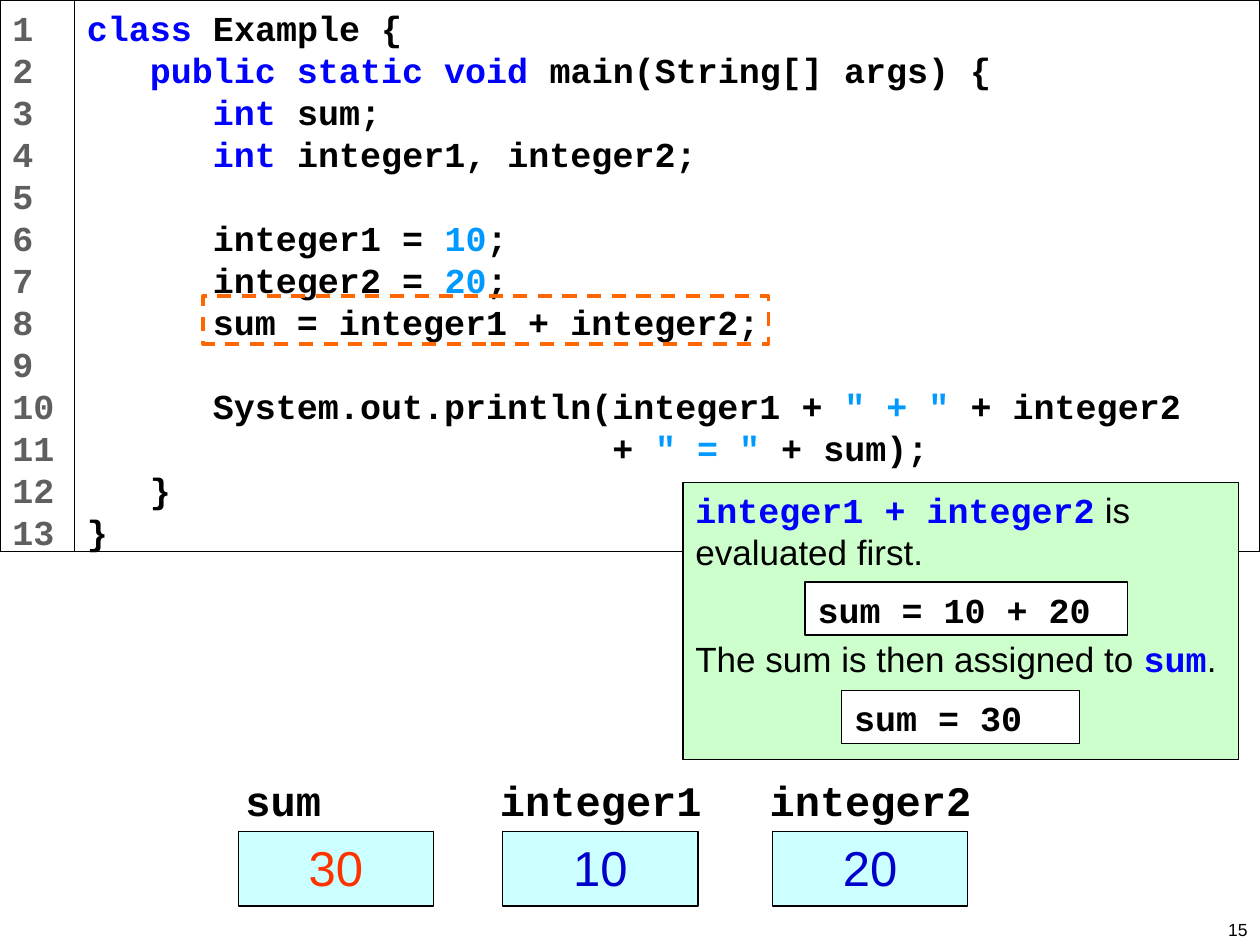
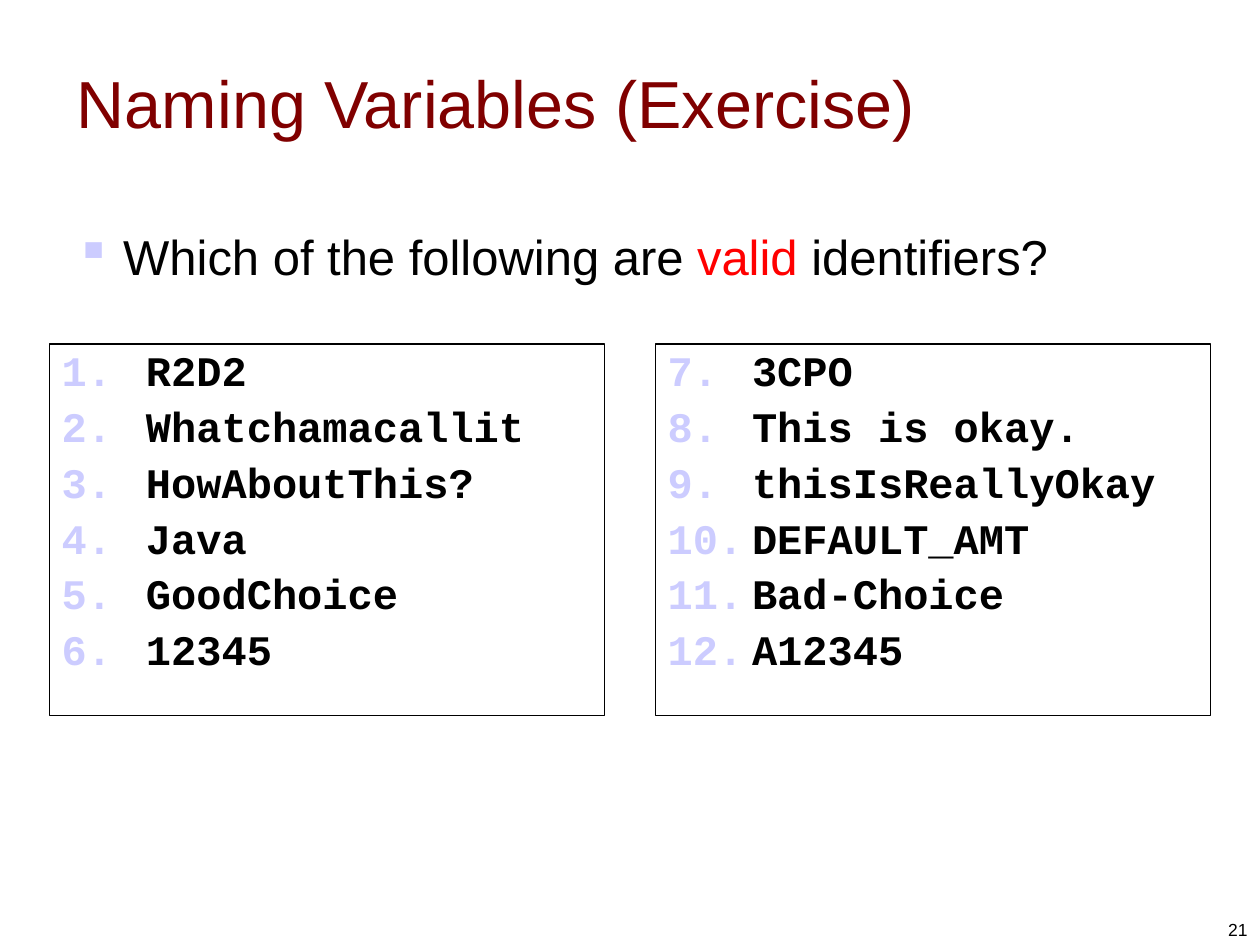
"""Two Java lesson slides: a traced addition and an identifier exercise."""
from collections import namedtuple

from lxml.etree import SubElement
from pptx import Presentation
from pptx.dml.color import RGBColor
from pptx.enum.dml import MSO_LINE
from pptx.enum.shapes import MSO_SHAPE
from pptx.enum.text import MSO_ANCHOR as ANCHOR, PP_ALIGN as ALIGN
from pptx.oxml.ns import qn
from pptx.util import Inches, Pt

BLACK = RGBColor(0, 0, 0)
WHITE = RGBColor(0xFF, 0xFF, 0xFF)
GRAY = RGBColor(0x5F, 0x5F, 0x5F)
BLUE = RGBColor(0, 0, 0xFF)
SKY = RGBColor(0, 0x99, 0xFF)
NAVY = RGBColor(0, 0, 0xCC)
RED = RGBColor(0xFF, 0, 0)
VERMILION = RGBColor(0xFF, 0x33, 0)
ORANGE = RGBColor(0xFF, 0x66, 0)
MAROON = RGBColor(0x80, 0, 0)
LAVENDER = RGBColor(0xCC, 0xCC, 0xFF)
MINT = RGBColor(0xCC, 0xFF, 0xCC)
AQUA = RGBColor(0xCC, 0xFF, 0xFF)

Style = namedtuple("Style", "font size color bold")
CODE = Style("Courier New", 20, BLACK, True)
KEYWORD = CODE._replace(color=BLUE)
LITERAL = CODE._replace(color=SKY)
LINE_NO = CODE._replace(color=GRAY)
NAME = CODE._replace(size=24)
PROSE = Style("Arial", 20, BLACK, False)
QUESTION = PROSE._replace(size=28)
TITLE = PROSE._replace(size=38, color=MAROON)
FOOTER = PROSE._replace(size=10)

PROGRAM = [
    [("class", KEYWORD), (" Example {", CODE)],
    [("   public static void ", KEYWORD), ("main(String[] args) {", CODE)],
    [("      int ", KEYWORD), ("sum;", CODE)],
    [("      int ", KEYWORD), ("integer1, integer2;", CODE)],
    [],
    [("      integer1 = ", CODE), ("10", LITERAL), (";", CODE)],
    [("      integer2 = ", CODE), ("20", LITERAL), (";", CODE)],
    [("      sum = integer1 + integer2;", CODE)],
    [],
    [("      System.out.println(integer1 + ", CODE), ('" + "', LITERAL),
     (" + integer2", CODE)],
    [("                         + ", CODE), ('" = "', LITERAL), (" + sum);", CODE)],
    [("   }", CODE)],
    [("}", CODE)],
]
EXPLANATION = [
    [("integer1 + integer2", KEYWORD), (" is evaluated first.", PROSE)],
    [("The sum is then assigned to ", PROSE), ("sum", KEYWORD), (".", PROSE)],
]
STEPS = [("sum = 10 + 20", (6.39, 4.62, 2.56, 0.42)),
         ("sum = 30", (6.68, 5.48, 1.89, 0.42))]
VARIABLES = [("sum", "30", VERMILION, 1.85, 1.89),
             ("integer1", "10", NAVY, 3.87, 3.99),
             ("integer2", "20", NAVY, 6.01, 6.13)]
EXERCISE_TITLE = "Naming Variables (Exercise)"
EXERCISE = [("Which of the following are ", QUESTION),
            ("valid", QUESTION._replace(color=RED)), (" identifiers?", QUESTION)]
CANDIDATES = ["R2D2", "Whatchamacallit", "HowAboutThis?", "Java", "GoodChoice",
              "12345", "3CPO", "This is okay.", "thisIsReallyOkay",
              "DEFAULT_AMT", "Bad-Choice", "A12345"]
PER_LIST = 6
GUTTER = 0.59
CODE_HEIGHT = 4.38


def write(sp, paras, align=ALIGN.LEFT, anchor=ANCHOR.TOP, wrap=True,
          gap=0, spacing=None):
    """Fill a shape with paragraphs of styled runs and return them."""
    tf = sp.text_frame
    tf.word_wrap = wrap
    tf.vertical_anchor = anchor
    for i, runs in enumerate(paras):
        p = tf.add_paragraph() if i else tf.paragraphs[0]
        p.alignment = align
        p.space_before = Pt(gap if i else 0)
        if spacing:
            p.line_spacing = spacing
        for text, style in runs:
            r = p.add_run()
            r.text = text
            r.font.name = style.font
            r.font.size = Pt(style.size)
            r.font.bold = style.bold
            r.font.color.rgb = style.color
    return tf.paragraphs


def add_text(s, box, paras, **layout):
    """Add a text box."""
    sp = s.shapes.add_textbox(*map(Inches, box))
    return write(sp, paras, **layout)


def add_box(s, box, fill=None, line=BLACK, width=0.75):
    """Add an outlined rectangle, unfilled unless a fill is given."""
    sp = s.shapes.add_shape(MSO_SHAPE.RECTANGLE, *map(Inches, box))
    sp.shadow.inherit = False
    if fill is None:
        sp.fill.background()
    else:
        sp.fill.solid()
        sp.fill.fore_color.rgb = fill
    sp.line.color.rgb = line
    sp.line.width = Pt(width)
    return sp


def add_bullet(p, indent, kind, **attrs):
    """Give a paragraph a hanging lavender bullet or number."""
    pPr = p._p.get_or_add_pPr()
    pPr.set("marL", str(Inches(indent)))
    pPr.set("indent", str(-Inches(indent)))
    color = SubElement(pPr, qn("a:buClr"))
    SubElement(color, qn("a:srgbClr"), val=str(LAVENDER))
    SubElement(pPr, qn(kind), **attrs)


def add_page_number(s, number):
    """Put the page number in the bottom right corner."""
    add_text(s, (7.67, 7.01, 2.33, 0.5), [[(number, FOOTER)]],
             align=ALIGN.RIGHT, anchor=ANCHOR.BOTTOM)


def build_trace(prs):
    """Build the slide that follows the addition through memory."""
    s = prs.slides.add_slide(prs.slide_layouts[6])
    listing = add_box(s, (GUTTER, 0, 10 - GUTTER, CODE_HEIGHT), WHITE)
    write(listing, PROGRAM, spacing=Pt(24))
    gutter = add_box(s, (0, 0, GUTTER, CODE_HEIGHT), WHITE)
    gutter.text_frame.margin_right = 0
    write(gutter, [[(str(n), LINE_NO)] for n in range(1, len(PROGRAM) + 1)],
          spacing=Pt(24))
    for name, value, color, name_left, cell_left in VARIABLES:
        cell = add_box(s, (cell_left, 6.6, 1.55, 0.59), AQUA)
        write(cell, [[(value, QUESTION._replace(color=color))]], align=ALIGN.CENTER)
        add_text(s, (name_left, 6.1, 0.2 * len(name) + 0.2, 0.5),
                 [[(name, NAME)]], wrap=False)
    write(add_box(s, (5.42, 3.83, 4.41, 2.2), MINT), EXPLANATION, gap=37)
    highlight = add_box(s, (1.61, 2.35, 4.49, 0.38), line=ORANGE, width=2)
    highlight.line.dash_style = MSO_LINE.DASH
    for text, box in STEPS:
        write(add_box(s, box, WHITE), [[(text, CODE)]])
    add_page_number(s, "15")


def build_exercise(prs):
    """Build the identifier exercise."""
    s = prs.slides.add_slide(prs.slide_layouts[5])
    title = s.shapes.title
    title.left, title.top, title.width, title.height = map(
        Inches, (0.51, 0.18, 9, 1.25))
    write(title, [[(EXERCISE_TITLE, TITLE)]], anchor=ANCHOR.MIDDLE)
    question = add_text(s, (0.5, 1.75, 9, 0.6), [EXERCISE])
    add_bullet(question[0], 0.38, "a:buChar", char="▪")
    for column, first in enumerate(range(0, len(CANDIDATES), PER_LIST)):
        sp = add_box(s, (0.39 + 4.81 * column, 2.73, 4.41, 2.95))
        names = CANDIDATES[first:first + PER_LIST]
        for p in write(sp, [[(name, NAME)] for name in names], gap=6, spacing=0.9):
            add_bullet(p, 0.67, "a:buAutoNum", type="arabicPeriod",
                       startAt=str(first + 1))
    add_page_number(s, "21")


def main():
    """Build and save the presentation."""
    prs = Presentation()
    prs.slide_width, prs.slide_height = Inches(10), Inches(7.5)
    build_trace(prs)
    build_exercise(prs)
    prs.save("out.pptx")


if __name__ == "__main__":
    main()
